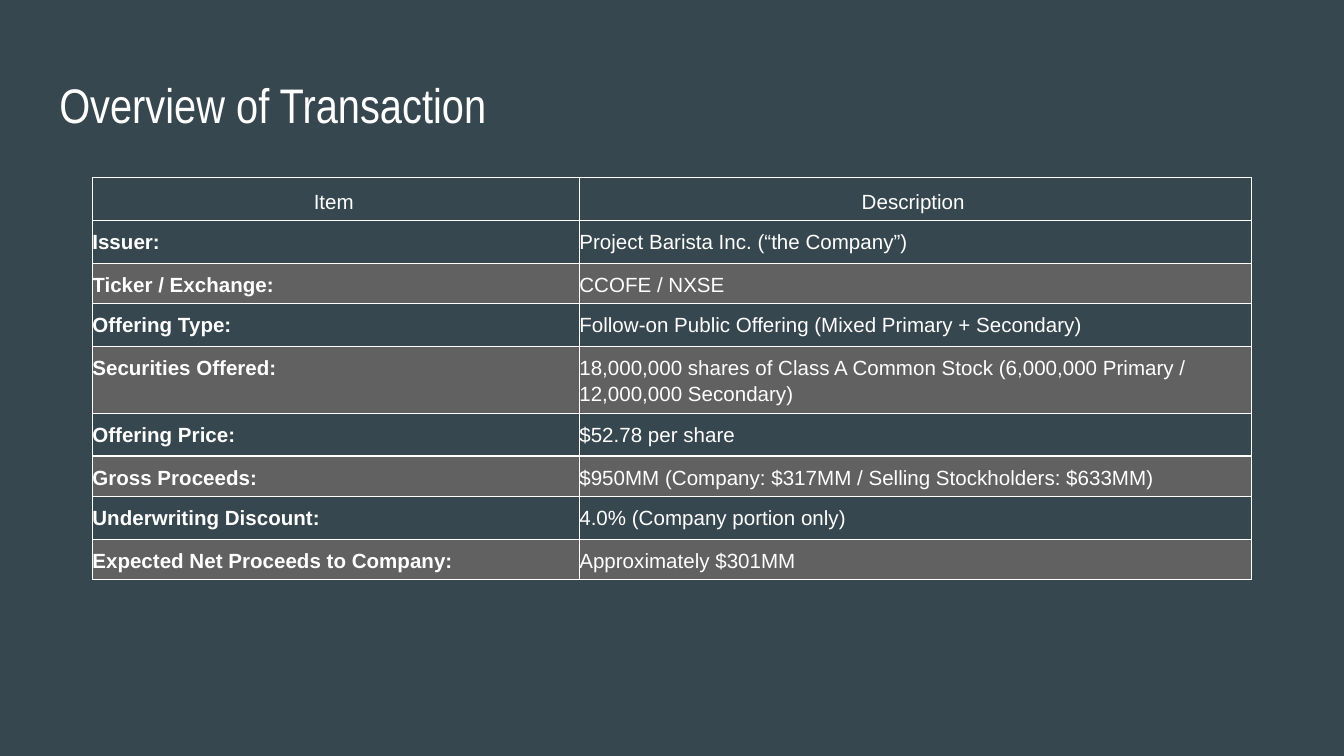
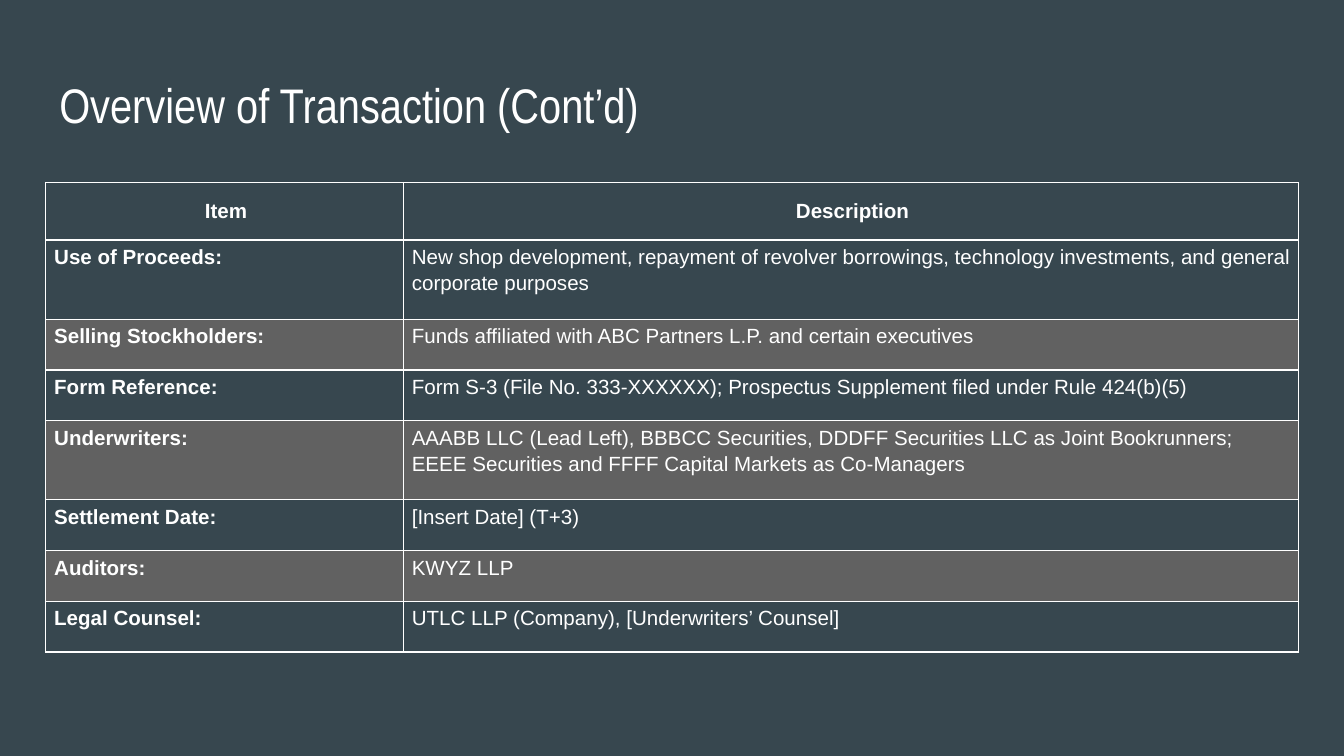
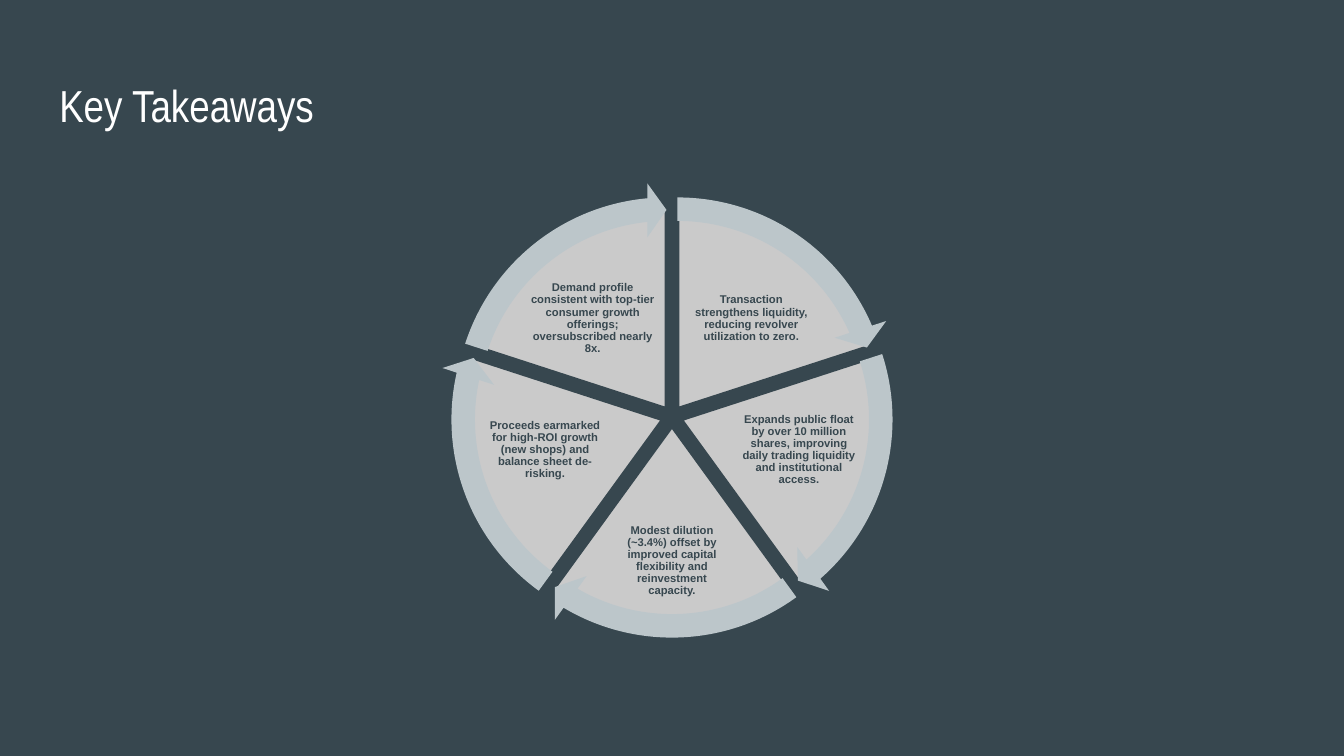
import math
from typing import NamedTuple

import pptx
import pptx.dml.color
import pptx.enum.shapes
import pptx.enum.text
import pptx.oxml
import pptx.oxml.ns
import pptx.util

Pt = pptx.util.Pt
RGB = pptx.dml.color.RGBColor
ALIGN = pptx.enum.text.PP_ALIGN
ANCHOR = pptx.enum.text.MSO_ANCHOR

# Shared look
SLATE = RGB(0x37, 0x47, 0x4F)
WHITE = RGB(0xFF, 0xFF, 0xFF)
BAND = RGB(0x61, 0x61, 0x61)
WEDGE = RGB(0xCA, 0xCA, 0xCA)
ARROW = RGB(0xBC, 0xC6, 0xCA)
BODY, HEAD = "Arial", "Arial Narrow"
WIDE, HIGH = 720, 405

# Wheel geometry
MID_X, MID_Y = 360, 223.2
RADIUS, GAP = 108, 5
OUTER, INNER = 113.4, 100.8
BARB_OUT, BARB_IN, TIP = 121.4, 92.5, 106.7
BARB_LEN = 10.3
STEP = 72


class Box(NamedTuple):
    left: float
    top: float
    width: float
    height: float

    def flip(self) -> "Box":
        return self._replace(left=WIDE - self.left - self.width)

    def points(self) -> list:
        return [Pt(value) for value in self]


class Inset(NamedTuple):
    left: float
    top: float
    right: float
    bottom: float


class Title(NamedTuple):
    text: str
    size: float = 26
    before: float = 0
    after: float = 0


class Grid(NamedTuple):
    left: float
    top: float
    widths: list
    heights: list
    inset: Inset
    bold_head: bool
    rows: list


class Slice(NamedTuple):
    text: str
    box: Box


TITLE_BOX = Box(24.55, 35.3, 671, 45.4)
TITLE_INSET = Inset(7.2, 7.2, 7.2, 7.2)
LABEL_INSET = Inset(0.7, 0.7, 0.7, 0.7)


# Text
def pad(frame, inset: Inset) -> None:
    frame.margin_left, frame.margin_top, frame.margin_right, frame.margin_bottom = map(Pt, inset)


def write(frame, text: str, size: float, color, font: str = BODY, bold: bool = False,
          align=ALIGN.LEFT, lead: float = 0.9):
    para = frame.paragraphs[0]
    para.alignment, para.line_spacing = align, lead
    run = para.add_run()
    run.text = text
    run.font.name, run.font.size, run.font.bold = font, Pt(size), bold
    run.font.color.rgb = color
    return para


def add_slide(deck, title: Title):
    slide = deck.slides.add_slide(deck.slide_layouts[5])
    shape = slide.shapes.title
    shape.left, shape.top, shape.width, shape.height = TITLE_BOX.points()
    frame = shape.text_frame
    frame.word_wrap = True
    frame.auto_size = pptx.enum.text.MSO_AUTO_SIZE.NONE
    frame.vertical_anchor = ANCHOR.MIDDLE
    pad(frame, TITLE_INSET)
    para = write(frame, title.text, title.size, WHITE, HEAD)
    para.space_before, para.space_after = Pt(title.before), Pt(title.after)
    return slide


# Tables
def edge(cell) -> None:
    props = cell._tc.get_or_add_tcPr()
    for spot, side in enumerate("LRTB"):
        props.insert(spot, pptx.oxml.parse_xml(
            f'<a:ln{side} {pptx.oxml.ns.nsdecls("a")} w="{Pt(0.75)}"><a:solidFill>'
            f'<a:srgbClr val="{WHITE}"/></a:solidFill></a:ln{side}>'))


def add_grid(slide, grid: Grid) -> None:
    box = Box(grid.left, grid.top, sum(grid.widths), sum(grid.heights))
    table = slide.shapes.add_table(len(grid.rows), len(grid.widths), *box.points()).table
    table.first_row = table.horz_banding = False
    for col, width in zip(table.columns, grid.widths):
        col.width = Pt(width)
    for row, height in zip(table.rows, grid.heights):
        row.height = Pt(height)
    for r, texts in enumerate(grid.rows):
        for c, text in enumerate(texts):
            cell = table.cell(r, c)
            top = r == 0
            pad(cell, grid.inset)
            cell.vertical_anchor = ANCHOR.BOTTOM if top else ANCHOR.TOP
            write(cell.text_frame, text, 11, WHITE, bold=grid.bold_head if top else c == 0,
                  align=ALIGN.CENTER if top else ALIGN.LEFT, lead=1.15)
            if r and r % 2 == 0:
                cell.fill.solid()
                cell.fill.fore_color.rgb = BAND
            else:
                cell.fill.background()
            edge(cell)


# Wheel
def polar(x: float, y: float, radius: float, angle: float) -> tuple:
    turn = math.radians(angle)
    return x + radius * math.cos(turn), y + radius * math.sin(turn)


def hub(start: float) -> tuple:
    return polar(MID_X, MID_Y, GAP, start + STEP / 2)


def around(x: float, y: float, radius: float) -> Box:
    return Box(x - radius, y - radius, 2 * radius, 2 * radius)


def add_wedge(shapes, start: float) -> None:
    box = around(*hub(start), RADIUS)
    pie = shapes.add_shape(pptx.enum.shapes.MSO_SHAPE.PIE, *box.points())
    for i, angle in enumerate((start, start + STEP)):
        pie.adjustments[i] = angle % 360 * 0.6  # 60000ths of a degree, over 100000
    pie.shadow.inherit = False
    pie.fill.solid()
    pie.fill.fore_color.rgb = WEDGE
    pie.line.color.rgb = SLATE
    pie.line.width = Pt(2)


def add_label(shapes, part: Slice) -> None:
    frame = shapes.add_textbox(*part.box.points()).text_frame
    frame.word_wrap = True
    frame.vertical_anchor = ANCHOR.MIDDLE
    pad(frame, LABEL_INSET)
    write(frame, part.text, 6, SLATE, bold=True, align=ALIGN.CENTER)


def bezier(x: float, y: float, radius: float, first: float, last: float) -> list:
    """Four control points of a circular arc."""
    reach = 4 / 3 * math.tan(math.radians(last - first) / 4) * radius
    begin, end = polar(x, y, radius, first), polar(x, y, radius, last)
    return [begin, polar(*begin, reach, first + 90), polar(*end, reach, last - 90), end]


def bend(shape, firsts: tuple) -> None:
    """Turn three line segments from each given index into one curve."""
    tag = pptx.oxml.ns.qn
    path = shape._element.find(".//" + tag("a:path"))
    lines = path.findall(tag("a:lnTo"))
    for first in firsts:
        curve = path.makeelement(tag("a:cubicBezTo"))
        lines[first].addprevious(curve)
        for line in lines[first:first + 3]:
            curve.append(line[0])
            path.remove(line)


def reframe(shape, box: Box) -> None:
    """Give the outline a new frame while its points stay in place."""
    path = shape._element.find(".//" + pptx.oxml.ns.qn("a:path"))
    left, top, width, height = box.points()
    for dot in path.iter(pptx.oxml.ns.qn("a:pt")):
        dot.set("x", str(int(dot.get("x")) + shape.left - left))
        dot.set("y", str(int(dot.get("y")) + shape.top - top))
    path.set("w", str(width))
    path.set("h", str(height))
    shape.left, shape.top, shape.width, shape.height = left, top, width, height


def add_arrow(shapes, start: float) -> None:
    x, y = hub(start)

    def base(radius: float) -> float:
        return start + STEP - math.degrees(math.asin(BARB_LEN / radius))

    barb = [(BARB_OUT, base(BARB_OUT)), (TIP, start + STEP), (BARB_IN, base(BARB_IN))]
    ring = bezier(x, y, OUTER, start, base(OUTER))
    ring += [polar(x, y, *spot) for spot in barb]
    ring += bezier(x, y, INNER, base(INNER), start)
    dots = [(Pt(across), Pt(down)) for across, down in ring]
    pen = shapes.build_freeform(*dots[0])
    pen.add_line_segments(dots[1:], close=True)
    shape = pen.convert_to_shape()
    bend(shape, (0, 7))
    reframe(shape, around(x, y, BARB_OUT))
    shape.shadow.inherit = False
    shape.fill.solid()
    shape.fill.fore_color.rgb = ARROW
    shape.line.fill.background()


def add_wheel(slide, parts: list) -> None:
    shapes = slide.shapes.add_group_shape().shapes
    starts = [270 + STEP * i for i in range(len(parts))]
    for start, part in zip(starts, parts):
        add_wedge(shapes, start)
        add_label(shapes, part)
    for start in starts:
        add_arrow(shapes, start)


# Content
TERMS = Grid(49.5, 95.2, [260.9, 360], [23, 23, 21, 23, 34, 23, 21, 23, 21],
             Inset(0, 3.75, 2.25, 3.75), False, [
    ("Item", "Description"),
    ("Issuer:", "Project Barista Inc. (“the Company”)"),
    ("Ticker / Exchange:", "CCOFE / NXSE"),
    ("Offering Type:", "Follow-on Public Offering (Mixed Primary + Secondary)"),
    ("Securities Offered:",
     "18,000,000 shares of Class A Common Stock (6,000,000 Primary / 12,000,000 Secondary)"),
    ("Offering Price:", "$52.78 per share"),
    ("Gross Proceeds:", "$950MM (Company: $317MM / Selling Stockholders: $633MM)"),
    ("Underwriting Discount:", "4.0% (Company portion only)"),
    ("Expected Net Proceeds to Company:", "Approximately $301MM"),
])

PARTIES = Grid(24.55, 97.7, [191.6, 479.6], [30.9, 42.4, 27.2, 27.2, 42.4, 27.2, 27.2, 27.2],
               Inset(4.5, 1.4, 2.9, 9.4), True, [
    ("Item", "Description"),
    ("Use of Proceeds:", "New shop development, repayment of revolver borrowings, "
     "technology investments, and general corporate purposes"),
    ("Selling Stockholders:", "Funds affiliated with ABC Partners L.P. and certain executives"),
    ("Form Reference:",
     "Form S-3 (File No. 333-XXXXXX); Prospectus Supplement filed under Rule 424(b)(5)"),
    ("Underwriters:", "AAABB LLC (Lead Left), BBBCC Securities, DDDFF Securities LLC as Joint "
     "Bookrunners; EEEE Securities and FFFF Capital Markets as Co-Managers"),
    ("Settlement Date:", "[Insert Date] (T+3)"),
    ("Auditors:", "KWYZ LLP"),
    ("Legal Counsel:", "UTLC LLP (Company), [Underwriters’ Counsel]"),
])

UPPER = Box(368, 147.6, 69, 46)
SIDE = Box(396, 215.6, 64, 51)
LOWER = Box(329, 271.9, 62, 57)
POINTS = [
    Slice("Transaction strengthens liquidity, reducing revolver utilization to zero.", UPPER),
    Slice("Expands public float by over 10 million shares, improving daily trading liquidity "
          "and institutional access.", SIDE),
    Slice("Modest dilution (~3.4%) offset by improved capital flexibility and "
          "reinvestment capacity.", LOWER),
    Slice("Proceeds earmarked for high-ROI growth (new shops) and balance sheet de-risking.",
          SIDE.flip()),
    Slice("Demand profile consistent with top-tier consumer growth offerings; "
          "oversubscribed nearly 8x.", UPPER.flip()),
]


def main() -> None:
    deck = pptx.Presentation()
    deck.slide_width, deck.slide_height = Pt(WIDE), Pt(HIGH)
    back = deck.slide_master.background.fill
    back.solid()
    back.fore_color.rgb = SLATE

    add_grid(add_slide(deck, Title("Overview of Transaction")), TERMS)
    add_grid(add_slide(deck, Title("Overview of Transaction (Cont’d)")), PARTIES)
    add_wheel(add_slide(deck, Title("Key Takeaways", 24, 18, 4)), POINTS)
    deck.save("out.pptx")


if __name__ == "__main__":
    main()
